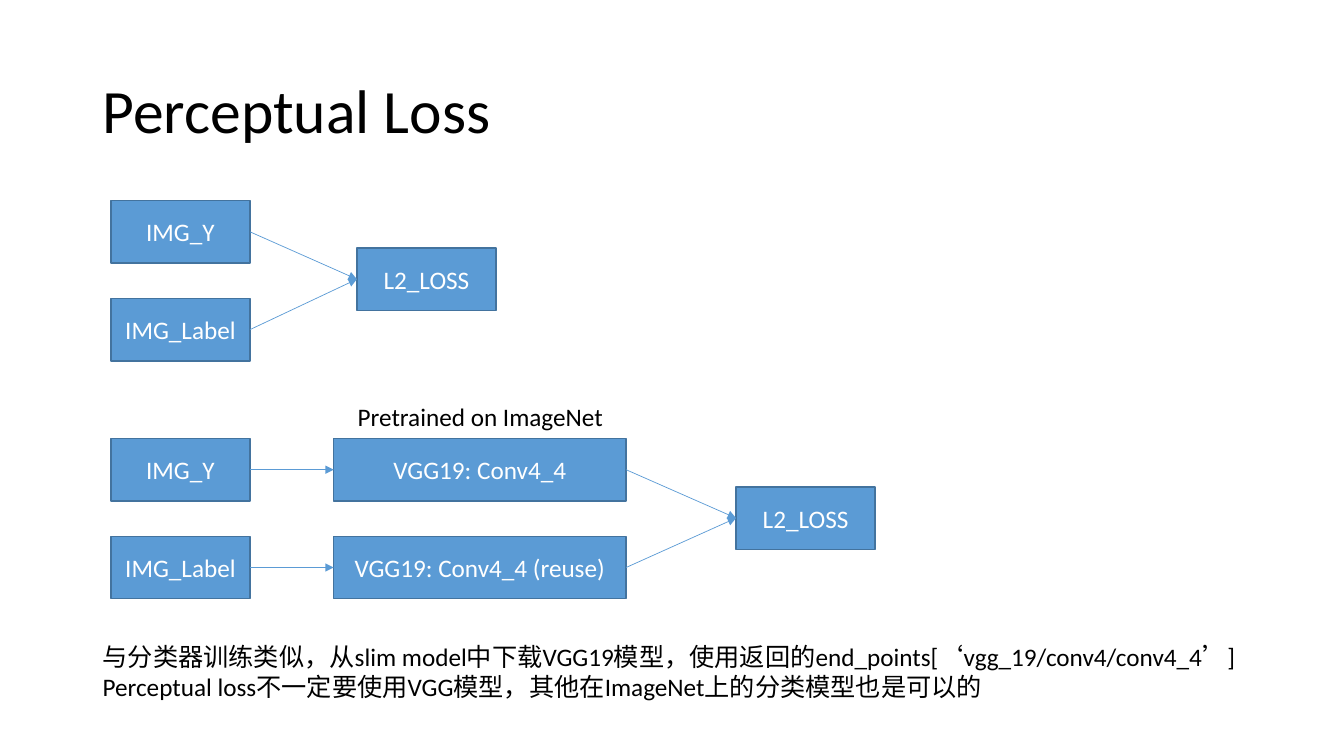
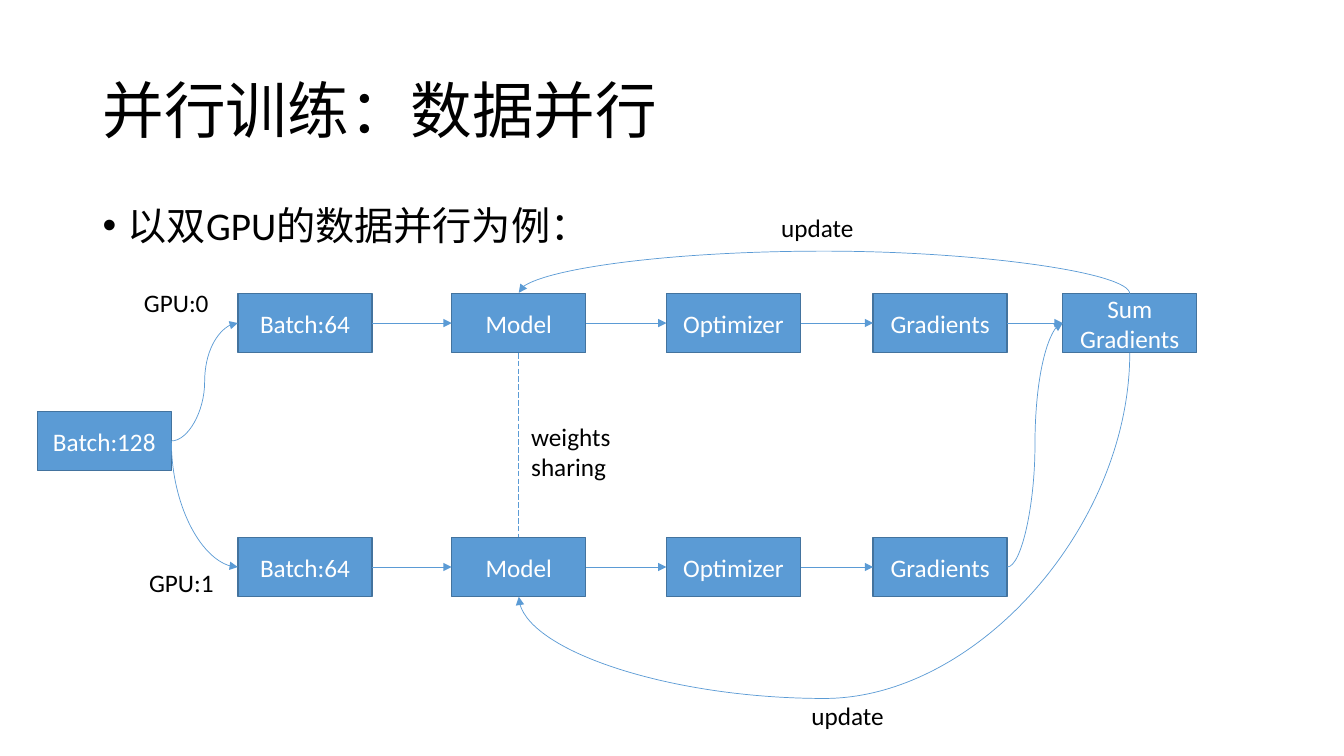
"""Build two slides on perceptual loss and data-parallel training."""
from dataclasses import dataclass

from lxml import etree
from pptx import Presentation
from pptx import util as u
from pptx.dml.color import RGBColor
from pptx.enum import dml, shapes, text
from pptx.oxml.ns import qn

TOP, LEFT, BOTTOM, RIGHT = range(4)


@dataclass(frozen=True)
class Theme:
    font: str = "Calibri"
    ink: str = "000000"
    box_text: str = "FFFFFF"
    box_fill: str = "5B9BD5"
    box_line: str = "43739E"
    title_size: int = 44
    body_size: int = 28
    label_size: int = 18
    box_line_width: float = 1
    arrow_width: float = 0.5


THEME = Theme()


def write(frame, content, size=THEME.label_size, color=THEME.ink, align=None,
          anchor=text.MSO_ANCHOR.TOP, line_spacing=None, space_before=None, bullet=None):
    frame.word_wrap = True
    frame.vertical_anchor = anchor
    for index, line in enumerate(content.split("\n")):
        paragraph = frame.add_paragraph() if index else frame.paragraphs[0]
        paragraph.alignment = align
        paragraph.line_spacing = line_spacing
        if space_before:
            paragraph.space_before = u.Pt(space_before)
        run = paragraph.add_run()
        run.text = line
        run.font.name = THEME.font
        run.font.size = u.Pt(size)
        run.font.color.rgb = RGBColor.from_string(color)
        if bullet:
            properties = paragraph._p.get_or_add_pPr()
            properties.set("marL", str(u.Inches(0.25)))
            properties.set("indent", str(-u.Inches(0.25)))
            etree.SubElement(properties, qn("a:buFont")).set("typeface", "Arial")
            etree.SubElement(properties, qn("a:buChar")).set("char", bullet)


def add_text(slide, content, left, top, width=1.06, height=0.4, **style):
    shape = slide.shapes.add_textbox(*map(u.Inches, (left, top, width, height)))
    write(shape.text_frame, content, **style)


def add_box(slide, content, left, top, width, height):
    shape = slide.shapes.add_shape(
        shapes.MSO_SHAPE.RECTANGLE, *map(u.Inches, (left, top, width, height)))
    shape.shadow.inherit = False
    shape.fill.solid()
    shape.fill.fore_color.rgb = RGBColor.from_string(THEME.box_fill)
    shape.line.color.rgb = RGBColor.from_string(THEME.box_line)
    shape.line.width = u.Pt(THEME.box_line_width)
    write(shape.text_frame, content, color=THEME.box_text,
          align=text.PP_ALIGN.CENTER, anchor=text.MSO_ANCHOR.MIDDLE)
    return shape


def connect(slide, source, target, sides=(RIGHT, LEFT), arrow=True, dash=None,
            kind=shapes.MSO_CONNECTOR.STRAIGHT):
    connector = slide.shapes.add_connector(kind, 0, 0, 0, 0)
    connector.begin_connect(source, sides[0])
    connector.end_connect(target, sides[1])
    connector.line.color.rgb = RGBColor.from_string(THEME.box_fill)
    connector.line.width = u.Pt(THEME.arrow_width)
    if dash:
        connector.line.dash_style = dash
    properties = connector.element.spPr
    if arrow:
        etree.SubElement(properties.get_or_add_ln(), qn("a:tailEnd")).set("type", "triangle")
    etree.SubElement(properties, qn("a:effectLst"))
    return connector


def connect_curve(slide, source, target, sides=(RIGHT, LEFT), rotation=0, flip=None,
                  preset="curvedConnector3", bulge=None):
    connector = connect(slide, source, target, sides, kind=shapes.MSO_CONNECTOR.CURVE)
    if not rotation:
        return
    middle_x = (connector.begin_x + connector.end_x) // 2
    middle_y = (connector.begin_y + connector.end_y) // 2
    width = max(connector.height, u.Inches(0.01))
    height = connector.width
    connector.left, connector.top = middle_x - width // 2, middle_y - height // 2
    connector.width, connector.height = width, height
    properties = connector.element.spPr
    transform = properties.find(qn("a:xfrm"))
    transform.set("rot", str(rotation * 60000))
    for name in ("flipH", "flipV"):
        transform.set(name, "1" if name == flip else "0")
    geometry = properties.find(qn("a:prstGeom"))
    geometry.set("prst", preset)
    if bulge:
        adjustments = geometry.find(qn("a:avLst"))
        if adjustments is None:
            adjustments = etree.SubElement(geometry, qn("a:avLst"))
        guide = etree.SubElement(adjustments, qn("a:gd"))
        guide.set("name", "adj1")
        guide.set("fmla", f"val {round(u.Inches(bulge) / width * 100000)}")


def add_slide(presentation, title):
    slide = presentation.slides.add_slide(presentation.slide_layouts[6])
    add_text(slide, title, 0.92, 0.4, 11.5, 1.45, size=THEME.title_size,
             anchor=text.MSO_ANCHOR.MIDDLE, line_spacing=0.9)
    return slide


def add_pair(slide, labels, left, top, width):
    return [add_box(slide, label, left, top + row * 0.97, width, 0.62)
            for row, label in enumerate(labels)]


def add_loss(slide, inputs, left, top):
    loss = add_box(slide, "L2_LOSS", left, top, 1.38, 0.62)
    for box in inputs:
        connect(slide, box, loss)


def build_perceptual_loss(presentation):
    slide = add_slide(presentation, "Perceptual Loss")
    image_labels = ("IMG_Y", "IMG_Label")
    add_loss(slide, add_pair(slide, image_labels, 1.1, 1.99, 1.38), 3.54, 2.46)
    images = add_pair(slide, image_labels, 1.1, 4.35, 1.38)
    features = add_pair(slide, ("VGG19: Conv4_4", "VGG19: Conv4_4 (reuse)"), 3.31, 4.35, 2.9)
    for image, feature in zip(images, features):
        connect(slide, image, feature)
    add_loss(slide, features, 7.3, 4.83)
    add_text(slide, "与分类器训练类似，从slim model中下载VGG19模型，使用返回的"
             "end_points[‘vgg_19/conv4/conv4_4’]\n"
             "Perceptual loss不一定要使用VGG模型，其他在ImageNet上的分类模型也是可以的",
             0.92, 6.31, 11.5, 0.71)
    add_text(slide, "Pretrained on ImageNet", 3.45, 3.93, 2.97)


def build_data_parallel(presentation):
    slide = add_slide(presentation, "并行训练：数据并行")
    add_text(slide, "以双GPU的数据并行为例：", 0.92, 2, 11.5, 4.76, size=THEME.body_size,
             line_spacing=0.9, space_before=10, bullet="•")
    size = (1.33, 0.59)
    steps = (("Batch:64", 2.36), ("Model", 4.48), ("Optimizer", 6.61), ("Gradients", 8.66))
    first, second = [[add_box(slide, label, left, top, *size) for label, left in steps]
                     for top in (2.91, 5.33)]
    batch = add_box(slide, "Batch:128", 0.37, 4.08, *size)
    total = add_box(slide, "Sum\nGradients", 10.54, 2.91, *size)
    for chain in (first + [total], second):
        for source, target in zip(chain, chain[1:]):
            connect(slide, source, target)
    connect_curve(slide, batch, first[0])
    connect_curve(slide, batch, second[0], rotation=270, flip="flipH",
                  preset="curvedConnector2")
    connect_curve(slide, second[-1], total)
    connect_curve(slide, total, second[1], (BOTTOM, BOTTOM), rotation=90, bulge=3.43)
    connect_curve(slide, total, first[1], (TOP, TOP), rotation=270, flip="flipV", bulge=0.43)
    connect(slide, first[1], second[1], (BOTTOM, TOP), arrow=False,
            dash=dml.MSO_LINE.LONG_DASH)
    for label, left, top in (("update", 7.95, 6.9), ("update", 7.65, 2.06),
                             ("GPU:0", 1.33, 2.8), ("GPU:1", 1.38, 5.58)):
        add_text(slide, label, left, top)
    add_text(slide, "weights\nsharing", 5.17, 4.13, height=0.71)


def main():
    presentation = Presentation()
    presentation.slide_width = u.Inches(13.33)
    presentation.slide_height = u.Inches(7.5)
    build_perceptual_loss(presentation)
    build_data_parallel(presentation)
    presentation.save("out.pptx")


main()
